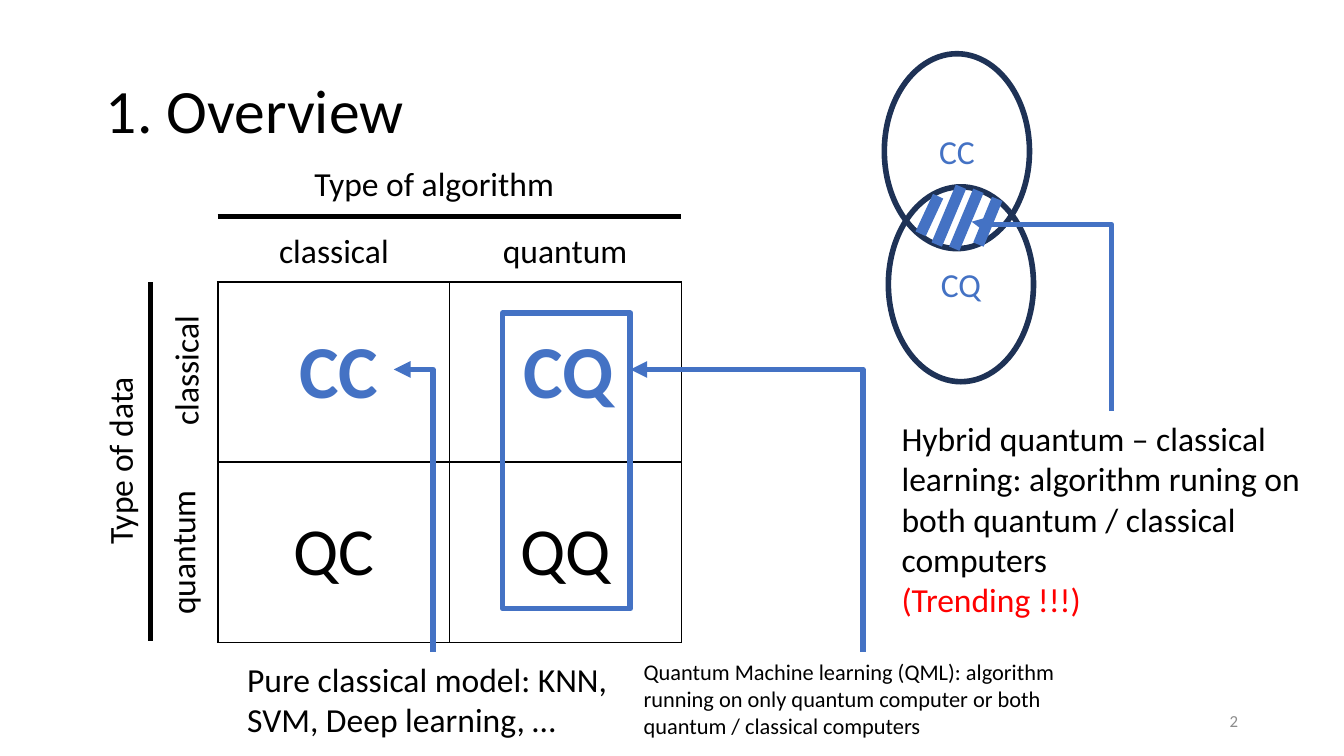
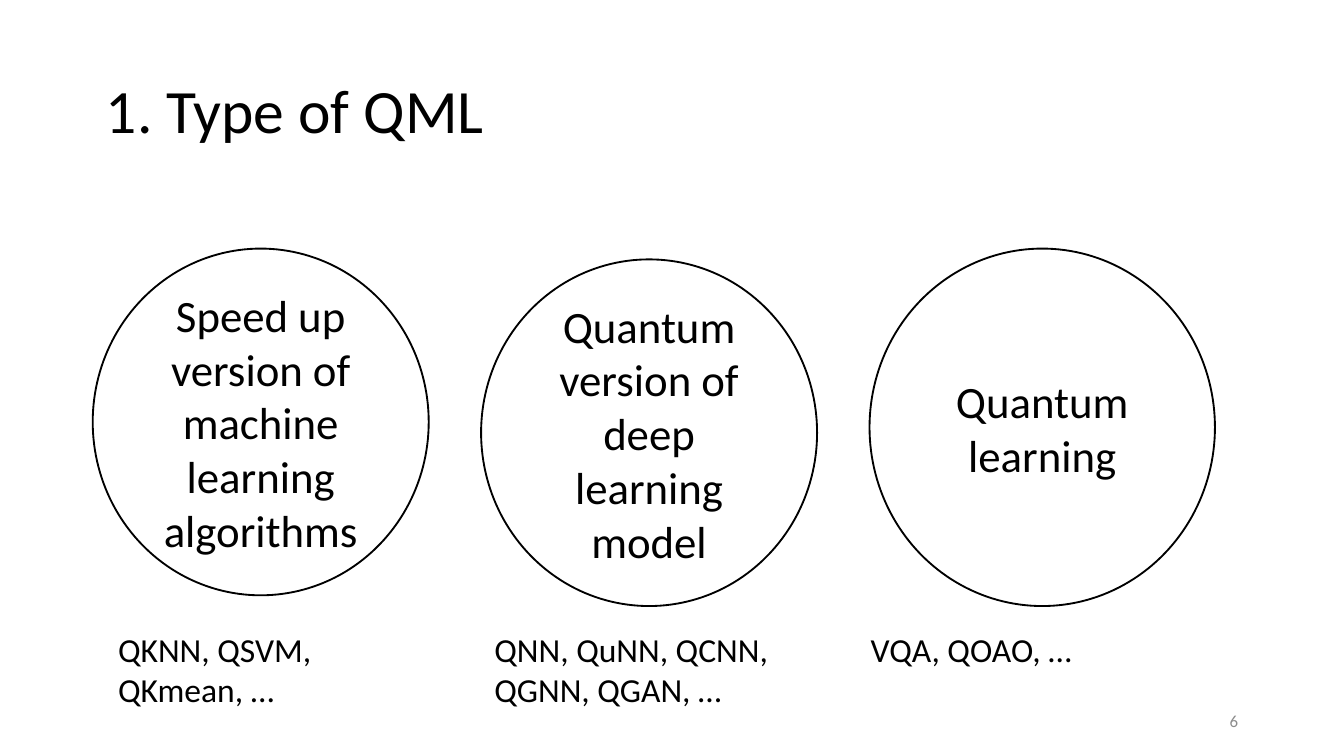
from lxml import etree
from pptx import Presentation
from pptx.dml.color import RGBColor
from pptx.enum.shapes import MSO_CONNECTOR, MSO_SHAPE
from pptx.enum.text import MSO_ANCHOR, PP_ALIGN
from pptx.oxml.ns import qn
from pptx.util import Inches, Pt

COLORS = {"black": "000000", "blue": "4472C4", "navy": "1E3256",
          "red": "FF0000", "gray": "8C8C8C"}
FONT = "Calibri"
LEFT, CENTER, RIGHT = PP_ALIGN.LEFT, PP_ALIGN.CENTER, PP_ALIGN.RIGHT


def write(frame, text, size=18, color="black", align=LEFT, bold=False, middle=False):
    frame.text = text
    frame.word_wrap = True
    if middle:
        frame.vertical_anchor = MSO_ANCHOR.MIDDLE
    for para in frame.paragraphs:
        para.alignment = align
        for span in para.runs:
            span.font.name = FONT
            span.font.size = Pt(size)
            span.font.bold = bold
            span.font.color.rgb = RGBColor.from_string(COLORS[color])


def draw_line(page, kind, start, end, color, width):
    points = [Inches(value) for value in (*start, *end)]
    line = page.shapes.add_connector(kind, *points)
    line.line.color.rgb = RGBColor.from_string(COLORS[color])
    line.line.width = Pt(width)
    etree.SubElement(line.element.spPr, qn("a:effectLst"))
    return line


# Widescreen deck, 16:9
deck = Presentation()
deck.slide_width = Inches(10)
deck.slide_height = Inches(10) * 9 // 16

# Shared title and page number
pages = []
for title, number in [("1. Overview", "2"), ("1. Type of QML", "6")]:
    page = deck.slides.add_slide(deck.slide_layouts[6])
    box = page.shapes.add_textbox(Inches(0.69), Inches(0.3), Inches(8.62), Inches(1.09))
    write(box.text_frame, title, 33, middle=True)
    box.text_frame.paragraphs[0].line_spacing = 0.9
    box = page.shapes.add_textbox(Inches(7.06), Inches(5.21), Inches(2.25), Inches(0.3))
    write(box.text_frame, number, 9, "gray", RIGHT, middle=True)
    pages.append(page)
overview, types = pages

# Data and algorithm matrix
matrix = overview.shapes.add_table(
    2, 2, Inches(1.62), Inches(2.1), Inches(3.45), Inches(2.68)).table
for column in matrix.columns:
    column.width = Inches(3.45) // 2
for row in matrix.rows:
    row.height = Inches(1.34)
for cell in matrix.iter_cells():
    cell.vertical_anchor = MSO_ANCHOR.MIDDLE
    properties = cell._tc.get_or_add_tcPr()
    for side in ("lnL", "lnR", "lnT", "lnB"):
        border = etree.SubElement(properties, qn(f"a:{side}"), w=str(Pt(1)))
        paint = etree.SubElement(border, qn("a:solidFill"))
        etree.SubElement(paint, qn("a:srgbClr"), val=COLORS["black"])
    cell.fill.background()
for column, label in enumerate(["QC", "QQ"]):
    write(matrix.cell(1, column).text_frame, label, 36, align=CENTER)

# Axis bars
for start, end in [((1.12, 2.1), (1.12, 4.77)), ((1.62, 1.61), (5.07, 1.61))]:
    draw_line(overview, MSO_CONNECTOR.STRAIGHT, start, end, "black", 3)

# Axis labels: text, left, top, width, rotation, alignment
axis_labels = [
    ("Type of algorithm", 2.24, 1.16, 2.2, 0, LEFT),
    ("Type of data", -0.21, 3.23, 2.2, 270, CENTER),
    ("classical", 1.62, 1.66, 1.73, 0, CENTER),
    ("quantum", 3.34, 1.66, 1.73, 0, CENTER),
    ("classical", 0.71, 2.56, 1.34, 270, CENTER),
    ("quantum", 0.68, 3.91, 1.35, 270, CENTER),
]
for text, left, top, width, rotation, align in axis_labels:
    box = overview.shapes.add_textbox(Inches(left), Inches(top), Inches(width), Inches(0.4))
    box.rotation = rotation
    write(box.text_frame, text, align=align)

# Highlighted cells
for text, left, width in [("CC", 2.13, 0.8), ("CQ", 3.8, 0.89)]:
    box = overview.shapes.add_textbox(Inches(left), Inches(2.36), Inches(width), Inches(0.77))
    write(box.text_frame, text, 40, "blue", bold=True)

# Explanations
explanations = [
    ("Pure classical model: KNN, SVM, Deep learning, …", 1.74, 4.85, 2.95, 0.71, 18),
    ("Quantum Machine learning (QML): algorithm running on only quantum computer "
     "or both quantum / classical computers", 4.69, 4.85, 3.45, 0.71, 12),
    ("Hybrid quantum – classical learning: algorithm runing on both quantum / "
     "classical computers\n(Trending !!!)", 6.61, 3.06, 3.31, 1.62, 18),
]
for text, left, top, width, height, size in explanations:
    box = overview.shapes.add_textbox(
        Inches(left), Inches(top), Inches(width), Inches(height))
    write(box.text_frame, text, size)
trending = box.text_frame.paragraphs[1].runs[0]
trending.font.color.rgb = RGBColor.from_string(COLORS["red"])

# Overlapping ellipses
for text, left, top in [("CC", 6.58, 0.4), ("CQ", 6.61, 1.39)]:
    ellipse = overview.shapes.add_shape(
        MSO_SHAPE.OVAL, Inches(left), Inches(top), Inches(1.08), Inches(1.45))
    ellipse.shadow.inherit = False
    ellipse.fill.background()
    ellipse.line.color.rgb = RGBColor.from_string(COLORS["navy"])
    ellipse.line.width = Pt(3)
    write(ellipse.text_frame, text, 18, "blue", CENTER, middle=True)

# Elbow arrows that leave upwards: drawn lying down, then turned by 270 degrees
elbows = [
    ((3.22, 4.85), (2.93, 2.75), "bentConnector2"),
    ((6.42, 4.85), (4.69, 2.75), "bentConnector2"),
    ((8.27, 3.06), (7.23, 1.65), "bentConnector3"),
]
for (x1, y1), (x2, y2), preset in elbows:
    middle_x, middle_y = (x1 + x2) / 2, (y1 + y2) / 2
    reach, rise = (y1 - y2) / 2, (x1 - x2) / 2
    arrow = draw_line(overview, MSO_CONNECTOR.ELBOW, (middle_x - reach, middle_y + rise),
                      (middle_x + reach, middle_y - rise), "blue", 3)
    outline = arrow.element.spPr
    outline.find(qn("a:xfrm")).set("rot", str(270 * 60000))
    geometry = outline.find(qn("a:prstGeom"))
    geometry.set("prst", preset)
    if preset == "bentConnector3":
        etree.SubElement(geometry.find(qn("a:avLst")), qn("a:gd"),
                         name="adj1", fmla="val 98600")
    etree.SubElement(outline.find(qn("a:ln")), qn("a:tailEnd"), type="triangle")

# Hatching of the overlap
hatches = [((6.98, 1.46), (6.85, 1.74)), ((7.15, 1.39), (6.97, 1.82)),
           ((7.28, 1.42), (7.1, 1.85)), ((7.42, 1.48), (7.28, 1.82))]
for start, end in hatches:
    draw_line(overview, MSO_CONNECTOR.STRAIGHT, start, end, "blue", 6)

# Frame around the quantum column
frame = overview.shapes.add_shape(
    MSO_SHAPE.RECTANGLE, Inches(3.74), Inches(2.33), Inches(0.95), Inches(2.2))
frame.shadow.inherit = False
frame.fill.background()
frame.line.color.rgb = RGBColor.from_string(COLORS["blue"])
frame.line.width = Pt(3)

# Circles for the types of QML
circles = [
    ("Quantum version of deep learning model", 3.58, 1.93, 2.5, 2.58),
    ("Speed up version of machine learning algorithms", 0.69, 1.85, 2.5, 2.58),
    ("Quantum learning", 6.47, 1.85, 2.57, 2.66),
]
for text, left, top, width, height in circles:
    circle = types.shapes.add_shape(
        MSO_SHAPE.OVAL, Inches(left), Inches(top), Inches(width), Inches(height))
    circle.shadow.inherit = False
    circle.fill.background()
    circle.line.color.rgb = RGBColor.from_string(COLORS["black"])
    circle.line.width = Pt(1)
    write(circle.text_frame, text, 24, align=CENTER, middle=True)

# Examples below the circles
examples = [("QKNN, QSVM, QKmean, …", 0.71), ("QNN, QuNN, QCNN, QGNN, QGAN, …", 0.71),
            ("VQA, QOAO, …", 0.4)]
for index, (text, height) in enumerate(examples):
    box = types.shapes.add_textbox(
        Inches(0.78 + 2.8 * index), Inches(4.63), Inches(2.41), Inches(height))
    write(box.text_frame, text)

deck.save("out.pptx")
